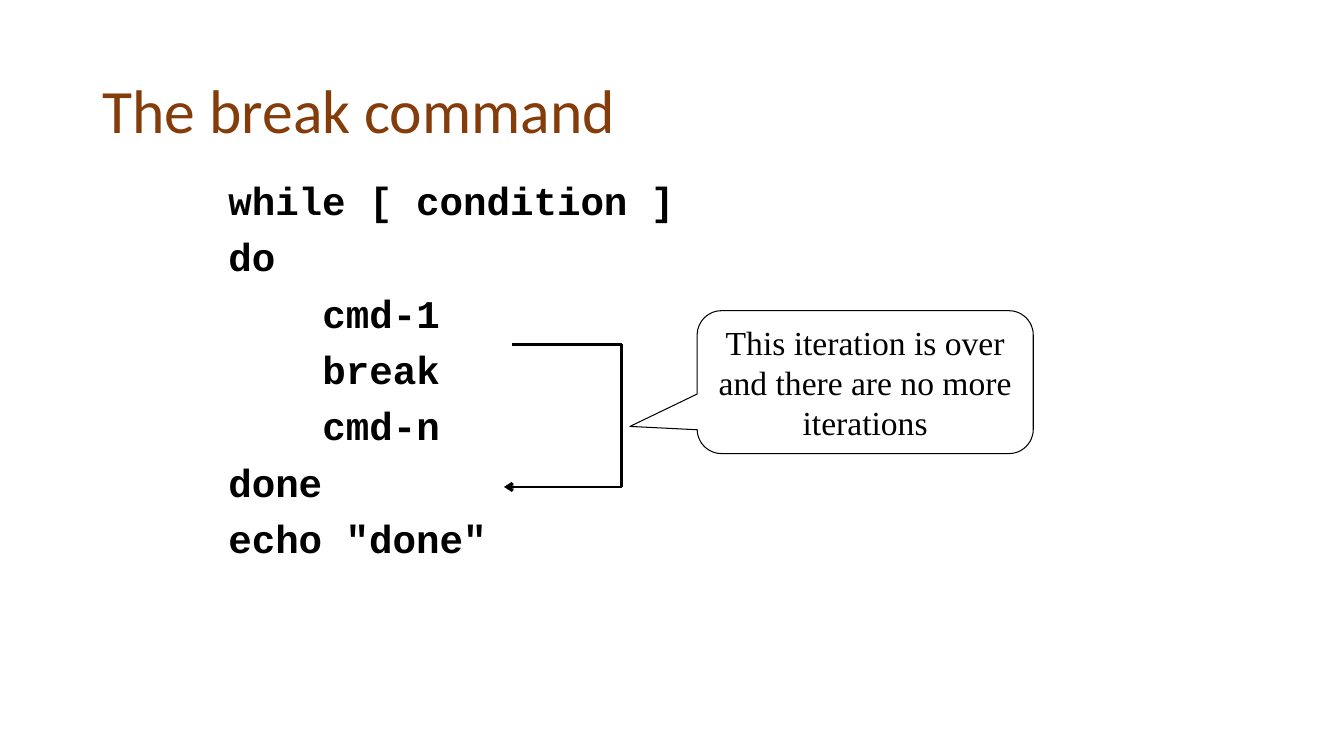
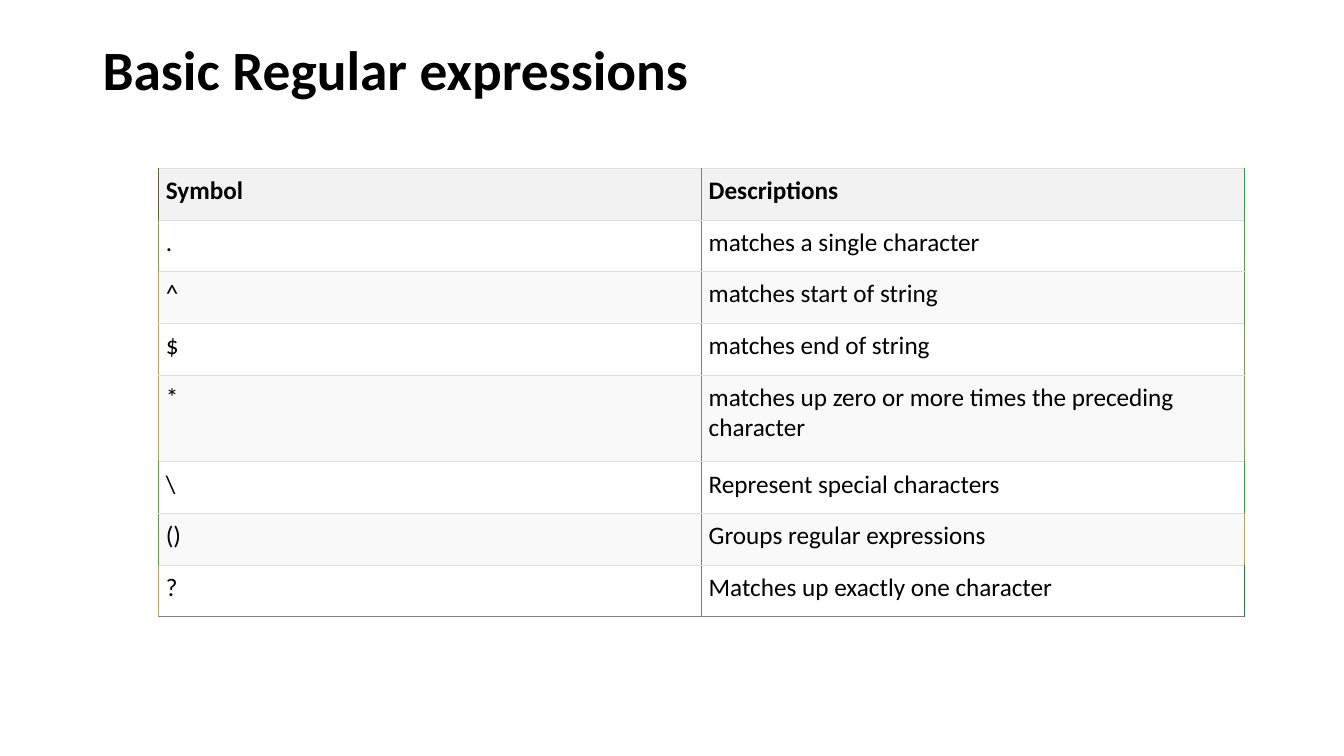
from itertools import pairwise

from lxml.etree import SubElement
from pptx import Presentation
from pptx.dml.color import RGBColor
from pptx.enum.shapes import MSO_CONNECTOR, MSO_SHAPE
from pptx.enum.text import MSO_ANCHOR, MSO_AUTO_SIZE, PP_ALIGN
from pptx.oxml.ns import qn
from pptx.util import Cm, Pt

BLACK = RGBColor(0x00, 0x00, 0x00)
WHITE = RGBColor(0xFF, 0xFF, 0xFF)
BROWN = RGBColor(0x84, 0x3C, 0x0B)
HEADER_FILL = RGBColor(0xF2, 0xF2, 0xF2)
BAND_FILL = RGBColor(0xF9, 0xF9, 0xF9)
RULE = RGBColor(0xDD, 0xDD, 0xDD)
GRAY = RGBColor(0x80, 0x80, 0x80)
OLIVE = RGBColor(0x70, 0x60, 0x1A)
GOLD = RGBColor(0xC0, 0xA6, 0x31)
MOSS = RGBColor(0x78, 0xA6, 0x31)
GREEN = RGBColor(0x48, 0xA6, 0x31)
EMERALD = RGBColor(0x00, 0xB8, 0x31)
PINE = RGBColor(0x10, 0x84, 0x31)

TITLE_FONT = "Calibri"
CODE_FONT = "Courier New"
CALLOUT_FONT = "Times New Roman"

CODE_LINES = [
    (0, "while [ condition ]"),
    (0, "do"),
    (1, "cmd-1"),
    (1, "break"),
    (1, "cmd-n"),
    (0, "done"),
    (0, 'echo "done"'),
]
CODE_INDENT = Cm(2.37)
CALLOUT_TEXT = "This iteration is over and there are no more iterations"
JUMP_POINTS = [(12.9, 8.68), (15.67, 8.68), (15.67, 12.27), (12.7, 12.27)]

SYMBOLS = [
    ("Symbol", "Descriptions", OLIVE, EMERALD),
    (".", "matches a single character", MOSS, GREEN),
    ("^", "matches start of string", GOLD, GREEN),
    ("$", "matches end of string", GOLD, MOSS),
    ("*", "matches up zero or more times the preceding character", GOLD, MOSS),
    ("\\", "Represent special characters", GREEN, EMERALD),
    ("()", "Groups regular expressions", GREEN, GOLD),
    ("?", "Matches up exactly one character", GOLD, PINE),
]
COLUMN_WIDTH = Cm(13.68)
ROW_HEIGHT = Cm(1.3)
TALL_ROW, TALL_HEIGHT = 4, Cm(2.19)
CELL_MARGIN = Cm(0.18)


def style_font(font, name, size, color=BLACK, bold=False):
    font.name = name
    font.size = Pt(size)
    font.bold = bold
    font.color.rgb = color


def place(box, left, top, width, height):
    box.left, box.top = Cm(left), Cm(top)
    box.width, box.height = Cm(width), Cm(height)


def add_page(deck, layout_index, title, height, size, color, bold):
    page = deck.slides.add_slide(deck.slide_layouts[layout_index])
    box = page.shapes.title
    place(box, 2.33, 1.02, 29.21, height)
    frame = box.text_frame
    frame.text = title
    frame.auto_size = MSO_AUTO_SIZE.NONE
    frame.vertical_anchor = MSO_ANCHOR.MIDDLE
    para = frame.paragraphs[0]
    para.alignment = PP_ALIGN.LEFT
    para.line_spacing = 0.9
    style_font(para.font, TITLE_FONT, size, color, bold)
    return page


def add_code(page):
    box = page.placeholders[1]
    place(box, 5.5, 4.45, 20.75, 13.54)
    frame = box.text_frame
    frame.auto_size = MSO_AUTO_SIZE.NONE
    frame.text = "\n".join(text for _, text in CODE_LINES)
    for para, (depth, _) in zip(frame.paragraphs, CODE_LINES):
        para.line_spacing = 0.9
        para.space_before = Pt(10)
        style_font(para.font, CODE_FONT, 28, bold=True)
        properties = para._p.get_or_add_pPr()
        properties.set("marL", str(depth * CODE_INDENT))
        properties.set("indent", "0")
        bullet = properties.makeelement(qn("a:buNone"), {})
        properties.find(qn("a:defRPr")).addprevious(bullet)


def add_jump(page):
    for start, end in pairwise(JUMP_POINTS):
        ends = [Cm(value) for value in start + end]
        line = page.shapes.add_connector(MSO_CONNECTOR.STRAIGHT, *ends)
        line.line.color.rgb = BLACK
        line.line.width = Pt(2)
        SubElement(line._element.spPr, qn("a:effectLst"))
    SubElement(line.line._get_or_add_ln(), qn("a:tailEnd"), type="arrow")


def add_callout(page):
    callout = page.shapes.add_shape(
        MSO_SHAPE.ROUNDED_RECTANGULAR_CALLOUT, Cm(17.57), Cm(7.83), Cm(8.47), Cm(3.6))
    for index, value in enumerate((-0.7, 0.31, 0.17)):
        callout.adjustments[index] = value
    callout.shadow.inherit = False
    callout.fill.background()
    callout.line.color.rgb = BLACK
    callout.line.width = Pt(0.75)
    frame = callout.text_frame
    frame.word_wrap = True
    frame.vertical_anchor = MSO_ANCHOR.MIDDLE
    frame.text = CALLOUT_TEXT
    para = frame.paragraphs[0]
    para.alignment = PP_ALIGN.CENTER
    style_font(para.font, CALLOUT_FONT, 24)


def set_borders(cell, left, right, top, bottom):
    properties = cell._tc.get_or_add_tcPr()
    sides = {"a:lnL": left, "a:lnR": right, "a:lnT": top, "a:lnB": bottom}
    for tag, color in sides.items():
        line = SubElement(properties, qn(tag), w=str(Pt(0.75)))
        fill = SubElement(line, qn("a:solidFill"))
        SubElement(fill, qn("a:srgbClr"), val=str(color))


def add_symbol_table(page):
    last = len(SYMBOLS) - 1
    heights = [TALL_HEIGHT if row == TALL_ROW else ROW_HEIGHT for row in range(last + 1)]
    table = page.shapes.add_table(
        last + 1, 2, Cm(4), Cm(4.25), 2 * COLUMN_WIDTH, sum(heights)).table
    table.first_row = table.horz_banding = False
    for column in table.columns:
        column.width = COLUMN_WIDTH
    for row, (symbol, meaning, left, right) in enumerate(SYMBOLS):
        table.rows[row].height = heights[row]
        fill = HEADER_FILL if row == 0 else WHITE if row % 2 else BAND_FILL
        bottom = GRAY if row == last else RULE
        for column, (text, edges) in enumerate([(symbol, (left, GRAY)), (meaning, (GRAY, right))]):
            cell = table.cell(row, column)
            cell.text = text
            cell.margin_left = cell.margin_right = CELL_MARGIN
            cell.margin_top = cell.margin_bottom = CELL_MARGIN
            style_font(cell.text_frame.paragraphs[0].font, TITLE_FONT, 18, bold=row == 0)
            set_borders(cell, *edges, RULE, bottom)
            cell.fill.solid()
            cell.fill.fore_color.rgb = fill


def main():
    deck = Presentation()
    deck.slide_width, deck.slide_height = Cm(33.87), Cm(19.05)

    page = add_page(deck, 1, "The break command", 3.68, 44, BROWN, False)
    add_code(page)
    add_jump(page)
    add_callout(page)

    page = add_page(deck, 5, "Basic Regular expressions", 1.6, 39.6, BLACK, True)
    add_symbol_table(page)

    deck.save("out.pptx")


if __name__ == "__main__":
    main()
